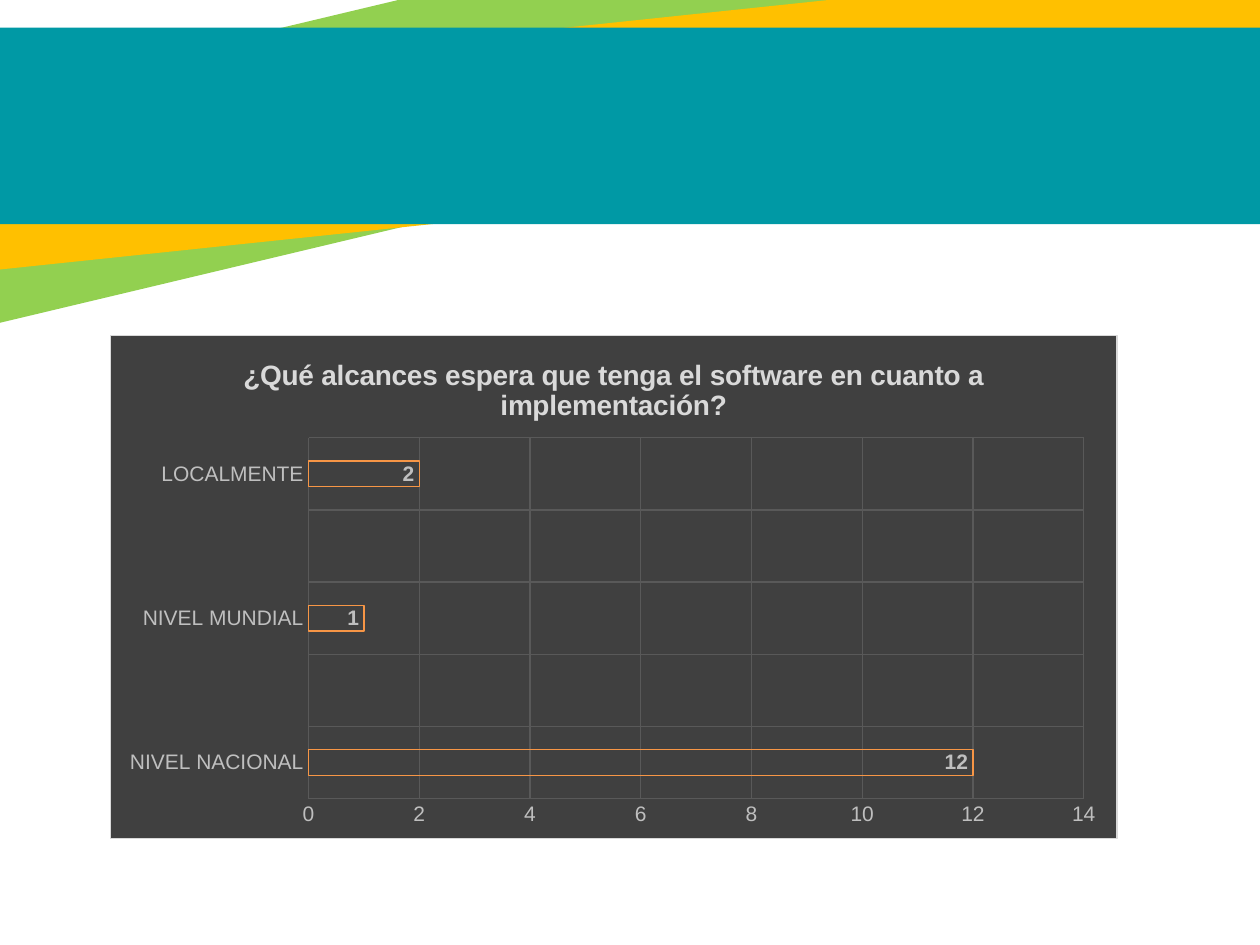
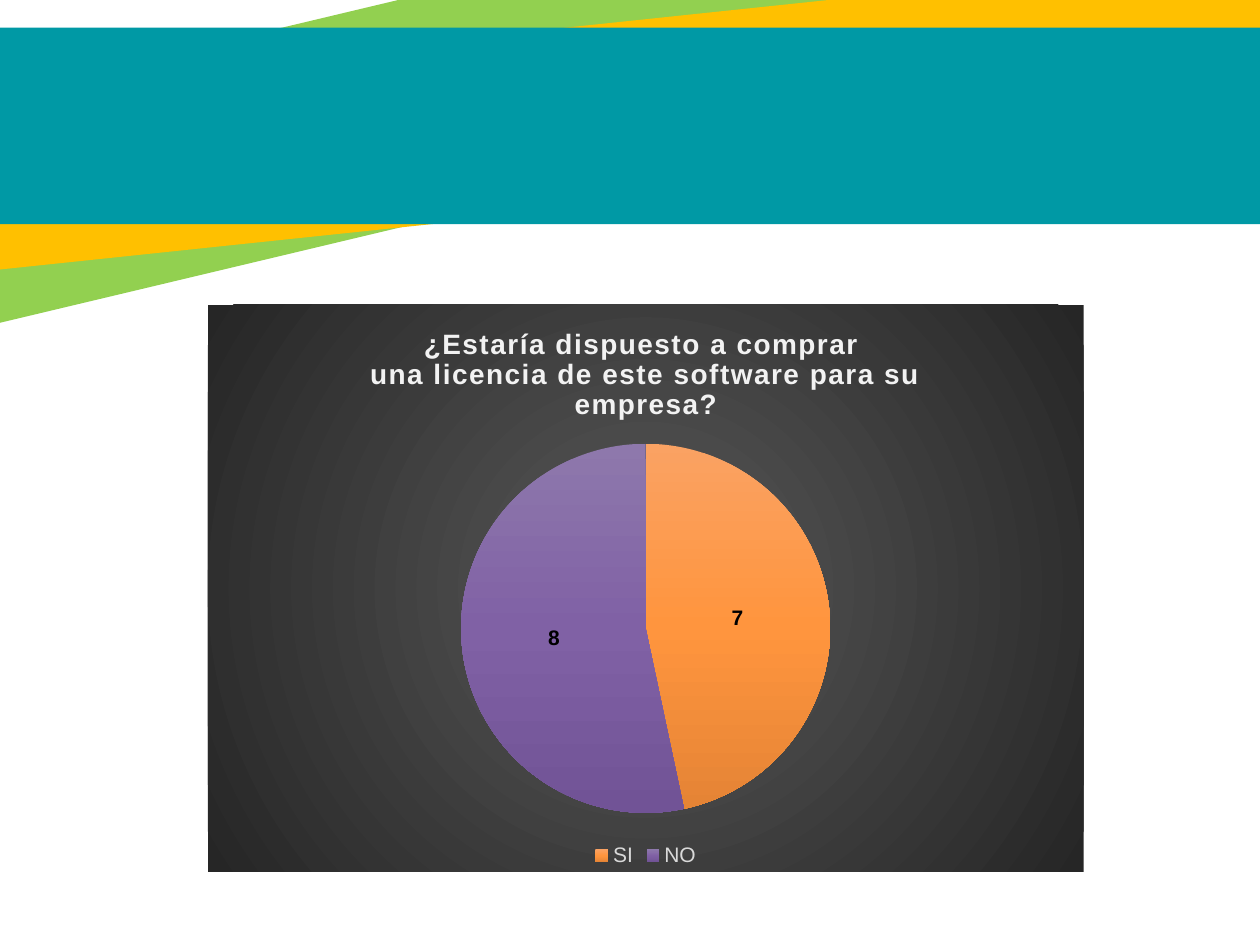
from dataclasses import dataclass

from pptx import Presentation
from pptx.chart.data import CategoryChartData
from pptx.dml.color import RGBColor
from pptx.enum.chart import XL_CHART_TYPE, XL_LABEL_POSITION, XL_LEGEND_POSITION, XL_TICK_MARK
from pptx.enum.shapes import MSO_SHAPE
from pptx.oxml import parse_xml
from pptx.oxml.ns import nsdecls
from pptx.util import Inches, Pt


@dataclass(frozen=True)
class Theme:
    """Colours, fonts and type sizes shared by the slides."""
    green: str = "92D050"
    gold: str = "FFC000"
    teal: str = "0099A5"
    dark: str = "404040"
    grid: str = "595959"
    edge: str = "262626"
    pale: str = "D9D9D9"
    light: str = "F2F2F2"
    gray: str = "BFBFBF"
    black: str = "000000"
    orange: str = "F79646"
    yes: tuple = ("FAA263", "FF953E", "E58435")
    no: tuple = ("8E78AC", "8061A5", "715396")
    face: str = "Arial"
    base: str = "Calibri"
    head: int = 16
    body: int = 12
    small: int = 10
    rule: float = 0.75


THEME = Theme()


def style(font, size, color, bold=False, face=THEME.face):
    """Set the look of a font."""
    font.size, font.bold, font.name = Pt(size), bold, face
    font.color.rgb = RGBColor.from_string(color)


def draw(line, color):
    """Give a line its colour and the common width."""
    line.color.rgb = RGBColor.from_string(color)
    line.width = Pt(THEME.rule)


def blend(colors, shade):
    """Return a gradient fill with evenly spaced stops."""
    step = 100000 // (len(colors) - 1)
    stops = "".join(
        f'<a:gs pos="{i * step}"><a:srgbClr val="{color}"/></a:gs>'
        for i, color in enumerate(colors)
    )
    return parse_xml(
        f'<a:gradFill {nsdecls("a")} rotWithShape="1"><a:gsLst>{stops}</a:gsLst>{shade}</a:gradFill>'
    )


def band(slide, box, color, turn=0):
    """Draw one flat band, turned by some degrees."""
    shape = slide.shapes.add_shape(MSO_SHAPE.RECTANGLE, *map(Inches, box))
    shape.rotation = turn
    shape.shadow.inherit = False
    shape.fill.solid()
    shape.fill.fore_color.rgb = RGBColor.from_string(color)
    shape.line.fill.background()


def page(deck):
    """Add a blank slide with the header bands."""
    slide = deck.slides.add_slide(deck.slide_layouts[6])
    band(slide, (-2.51, -0.18, 13.06, 1.76), THEME.green, 346.6)
    band(slide, (-1.1, 0.2, 11.63, 1.44), THEME.gold, 354)
    band(slide, (-1.06, 0.22, 11.63, 1.56), THEME.teal)
    return slide


def plot(slide, kind, box, cats, vals):
    """Add a chart with one series."""
    data = CategoryChartData()
    data.categories = cats
    data.add_series("Series 1", vals)
    chart = slide.shapes.add_chart(kind, *map(Inches, box), data).chart
    style(chart.font, THEME.small, THEME.black, face=THEME.base)
    chart.has_legend = False
    return chart


def title(chart, text, color, gap=0):
    """Write the chart title, with letter gaps in hundredths of a point."""
    chart.has_title = True
    frame = chart.chart_title.text_frame
    frame.text = text
    for para in frame.paragraphs:
        for run in para.runs:
            style(run.font, THEME.head, color, True)
    for props in chart.element.xpath("c:chart/c:title//a:r/a:rPr"):
        props.set("spc", str(gap))


def place(chart, box):
    """Fix the inner plot area, in fractions of the chart."""
    area = chart.element.xpath("c:chart/c:plotArea")[0]
    for old in area.xpath("c:layout"):
        area.remove(old)
    sizes = "".join(f'<c:{tag} val="{num}"/>' for tag, num in zip("xywh", box))
    area.insert(0, parse_xml(
        f'<c:layout {nsdecls("c")}><c:manualLayout><c:layoutTarget val="inner"/>'
        f'<c:xMode val="edge"/><c:yMode val="edge"/>{sizes}</c:manualLayout></c:layout>'
    ))


def back(chart, fill, line):
    """Set the chart background and border."""
    props = parse_xml(f'<c:spPr {nsdecls("c", "a")}/>')
    props.append(fill)
    props.append(line)
    chart.element.xpath("c:chart")[0].addnext(props)


def label(chart, spot, color):
    """Show the values on the series."""
    labels = chart.plots[0].series[0].data_labels
    labels.show_value = True
    labels.position = spot
    style(labels.font, THEME.body, color, True)


def axis(item):
    """Style an axis with gridlines and no line of its own."""
    item.major_tick_mark = item.minor_tick_mark = XL_TICK_MARK.NONE
    item.format.line.fill.background()
    item.has_major_gridlines = True
    draw(item.major_gridlines.format.line, THEME.grid)
    style(item.tick_labels.font, THEME.body, THEME.gray)


def bars(slide):
    """Build the bar chart about the reach of the software."""
    chart = plot(
        slide, XL_CHART_TYPE.BAR_CLUSTERED, (0.87, 2.66, 8, 4),
        ("NIVEL NACIONAL", "", "NIVEL MUNDIAL", "", "LOCALMENTE"), (12, None, 1, None, 2),
    )
    title(chart, "¿Qué alcances espera que tenga el software en cuanto a implementación?", THEME.pale)
    place(chart, (0.197, 0.203, 0.77, 0.718))
    fill = parse_xml(f'<a:solidFill {nsdecls("a")}><a:srgbClr val="{THEME.dark}"/></a:solidFill>')
    line = parse_xml(
        f'<a:ln {nsdecls("a")} w="{Pt(THEME.rule)}"><a:solidFill>'
        f'<a:srgbClr val="{THEME.pale}"/></a:solidFill></a:ln>'
    )
    back(chart, fill, line)
    axis(chart.category_axis)
    axis(chart.value_axis)
    scale = chart.value_axis
    scale.minimum_scale, scale.maximum_scale, scale.major_unit = 0, 14, 2
    group = chart.plots[0]
    group.gap_width, group.overlap, group.vary_by_categories = 182, -50, False
    row = group.series[0]
    row.invert_if_negative = False
    row.format.fill.background()
    draw(row.format.line, THEME.orange)
    label(chart, XL_LABEL_POSITION.INSIDE_END, THEME.gray)


def legend(chart, hidden):
    """Show the legend below, without one entry."""
    chart.has_legend = True
    chart.legend.position = XL_LEGEND_POSITION.BOTTOM
    chart.legend.include_in_layout = False
    style(chart.legend.font, THEME.body, THEME.pale)
    chart.element.xpath("c:chart/c:legend/c:legendPos")[0].addnext(parse_xml(
        f'<c:legendEntry {nsdecls("c")}><c:idx val="{hidden}"/><c:delete val="1"/></c:legendEntry>'
    ))


def pie(slide):
    """Build the pie chart about buying a licence."""
    chart = plot(
        slide, XL_CHART_TYPE.PIE, (1.65, 2.42, 6.95, 4.5), ("SI", "", "NO"), (7, None, 8),
    )
    title(
        chart, "¿Estaría dispuesto a comprar \nuna licencia de este software para su empresa?",
        THEME.light, 100,
    )
    place(chart, (0.289, 0.245, 0.422, 0.651))
    glow = '<a:path path="circle"><a:fillToRect l="50000" t="50000" r="50000" b="50000"/></a:path>'
    none = parse_xml(f'<a:ln {nsdecls("a")}><a:noFill/></a:ln>')
    back(chart, blend((THEME.grid, THEME.edge), glow), none)
    row = chart.plots[0].series[0]
    for spot, colors in ((0, THEME.yes), (2, THEME.no)):
        row.points[spot].format.line.fill.background()
        props = chart.element.xpath(f'.//c:dPt[c:idx/@val="{spot}"]/c:spPr')[0]
        props.insert(0, blend(colors, '<a:lin ang="5400000" scaled="0"/>'))
    label(chart, XL_LABEL_POSITION.CENTER, THEME.black)
    legend(chart, 1)


def main():
    """Build both slides and save the deck."""
    deck = Presentation()
    deck.slide_width, deck.slide_height = Inches(10), Inches(7.5)
    bars(page(deck))
    pie(page(deck))
    deck.save("out.pptx")


if __name__ == "__main__":
    main()
